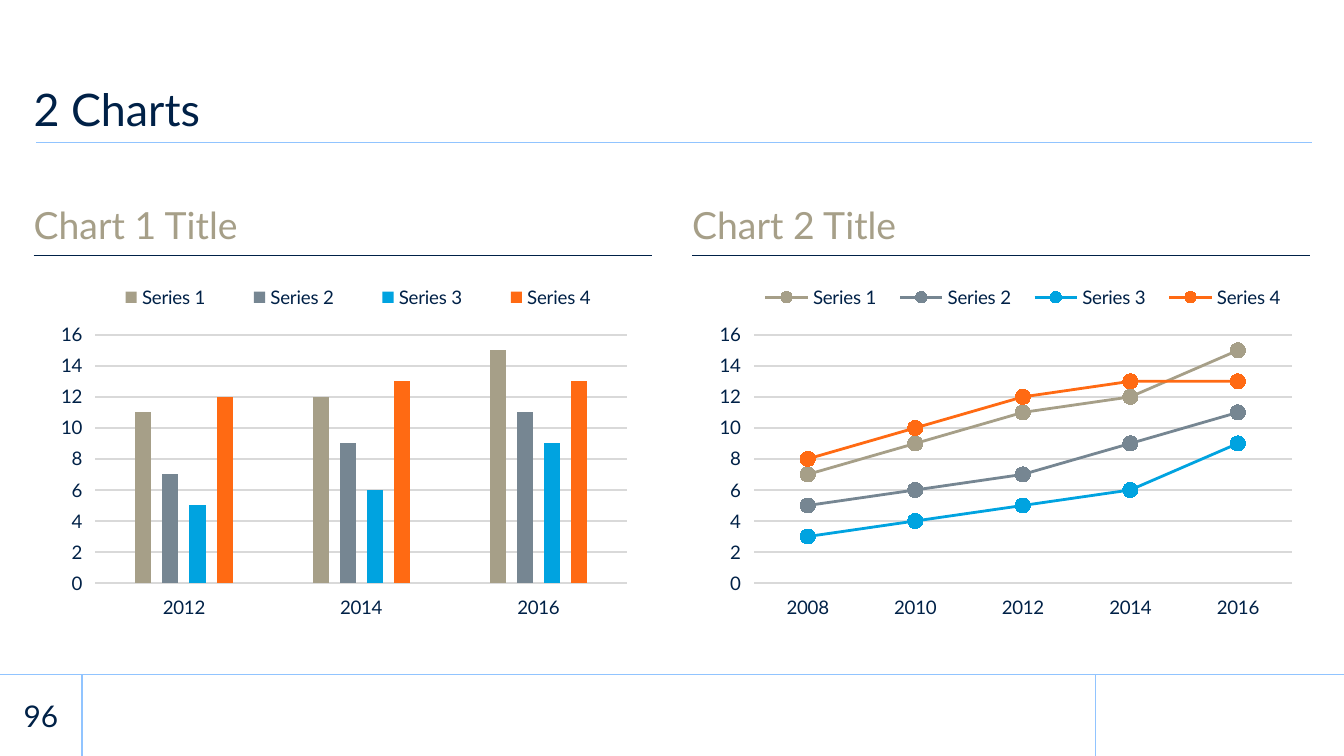
"""Build a slide with a column chart and a line chart side by side."""
from lxml import etree
from pptx import Presentation
from pptx.chart.data import CategoryChartData
from pptx.dml.color import RGBColor
from pptx.enum import chart as c, shapes, text
from pptx.oxml import parse_xml
from pptx.oxml.ns import nsdecls, qn
from pptx.util import Inches, Pt

NAVY = RGBColor(0x00, 0x21, 0x47)
SKY = RGBColor(0x91, 0xC4, 0xFF)
STONE = RGBColor(0xA6, 0x9F, 0x88)
SLATE = RGBColor(0x76, 0x86, 0x92)
CYAN = RGBColor(0x00, 0xA3, 0xE0)
ORANGE = RGBColor(0xFF, 0x6A, 0x13)
GRID = RGBColor(0xD9, 0xD9, 0xD9)
WHITE = RGBColor(0xFF, 0xFF, 0xFF)
SERIES_COLORS = [STONE, SLATE, CYAN, ORANGE]

WIDTH = 10
HEIGHT = WIDTH * 9 / 16
FOOTER_TOP = 5.02
COLUMN_WIDTH = 4.6


def write_text(shape, box, words, size, color, anchor, alignment, bottom=0):
    shape.left, shape.top, shape.width, shape.height = map(Inches, box)
    frame = shape.text_frame
    frame.text = words
    frame.auto_size = text.MSO_AUTO_SIZE.NONE
    frame.word_wrap = True
    frame.vertical_anchor = anchor
    frame.margin_left = frame.margin_right = frame.margin_top = 0
    frame.margin_bottom = Inches(bottom)
    paragraph = frame.paragraphs[0]
    paragraph.alignment = alignment
    paragraph.space_before = Pt(0)
    font = paragraph.runs[0].font
    font.name, font.size, font.bold = "Lato", Pt(size), False
    font.color.rgb = color


def set_layout(parent, position, target, box):
    for layout in parent.findall(qn("c:layout")):
        parent.remove(layout)
    edges = "".join(f'<c:{side}Mode val="edge"/>' for side in "xy")
    sizes = "".join(f'<c:{key} val="{value}"/>' for key, value in zip("xywh", box))
    parent.insert(position, parse_xml(
        f'<c:layout {nsdecls("c")}><c:manualLayout>'
        f'{target}{edges}{sizes}</c:manualLayout></c:layout>'))


presentation = Presentation()
presentation.slide_width = Inches(WIDTH)
presentation.slide_height = Inches(HEIGHT)
slide = presentation.slides.add_slide(presentation.slide_layouts[4])
placeholders = {p.placeholder_format.idx: p for p in slide.placeholders}
for index in (2, 4):
    element = placeholders[index].element
    element.getparent().remove(element)

for left, opacity in [(0, 85), (8.15, 100)]:
    band = slide.shapes.add_shape(
        shapes.MSO_SHAPE.RECTANGLE, Inches(left), Inches(FOOTER_TOP),
        Inches(WIDTH - left), Inches(HEIGHT - FOOTER_TOP))
    band.shadow.inherit = False
    band.fill.solid()
    band.fill.fore_color.rgb = WHITE
    band.line.fill.background()
    color = band.element.spPr.find(qn("a:solidFill"))[0]
    etree.SubElement(color, qn("a:alpha"), val=str(opacity * 1000))

rules = [
    (WIDTH, FOOTER_TOP, 0, FOOTER_TOP, SKY),
    (8.15, HEIGHT, 8.15, FOOTER_TOP, SKY),
    (0.61, HEIGHT, 0.61, FOOTER_TOP, SKY),
    (9.76, 1.06, 0.27, 1.06, SKY),
    (0.25, 1.9, 4.85, 1.9, NAVY),
    (5.15, 1.9, 9.75, 1.9, NAVY),
]
for *ends, color in rules:
    rule = slide.shapes.add_connector(
        shapes.MSO_CONNECTOR.STRAIGHT, *map(Inches, ends))
    rule.line.color.rgb = color
    rule.line.width = Pt(0.75)
    etree.SubElement(rule.element.spPr, qn("a:effectLst"))

bottom, left_aligned = text.MSO_ANCHOR.BOTTOM, text.PP_ALIGN.LEFT
write_text(slide.shapes.title, (0.25, 0.26, 9.5, 0.8), "2 Charts", 24, NAVY,
           bottom, left_aligned, bottom=0.05)
slide.shapes.title.text_frame.paragraphs[0].line_spacing = 0.9
page_number = slide.shapes.add_textbox(0, 0, 0, 0)
write_text(page_number, (0, FOOTER_TOP, 0.61, HEIGHT - FOOTER_TOP), "96", 16,
           NAVY, text.MSO_ANCHOR.MIDDLE, text.PP_ALIGN.CENTER)
page_number.text_frame.word_wrap = False

panels = [
    (0.25, 1, "Chart 1 Title", c.XL_CHART_TYPE.COLUMN_CLUSTERED,
     ["2012", "2014", "2016"],
     [(11, 12, 15), (7, 9, 11), (5, 6, 9), (12, 13, 13)],
     (0.1, 0.19, 0.86, 0.66), (0.08, 0.04, 0.89, 0.1)),
    (5.15, 3, "Chart 2 Title", c.XL_CHART_TYPE.LINE_MARKERS,
     ["2008", "2010", "2012", "2014", "2016"],
     [(7, 9, 11, 12, 15), (5, 6, 7, 9, 11), (3, 4, 5, 6, 9),
      (8, 10, 12, 13, 13)],
     (0.1, 0.19, 0.87, 0.66), (0.09, 0.04, 0.89, 0.1)),
]
for left, index, heading, chart_type, years, values, plot_box, legend_box in panels:
    write_text(placeholders[index], (left, 1.31, COLUMN_WIDTH, 0.53), heading,
               20, STONE, bottom, left_aligned)
    placeholders[index].text_frame.paragraphs[0].line_spacing = 0.9

    data = CategoryChartData()
    data.categories = years
    for number, row in enumerate(values, 1):
        data.add_series(f"Series {number}", row)
    chart = slide.shapes.add_chart(
        chart_type, Inches(left), Inches(1.96), Inches(COLUMN_WIDTH),
        Inches(2.8), data).chart
    chart.has_title = False
    chart.has_legend = True
    chart.legend.position = c.XL_LEGEND_POSITION.TOP
    chart.legend.include_in_layout = False

    axes = (chart.category_axis, chart.value_axis)
    for axis in axes:
        axis.format.line.fill.background()
        axis.major_tick_mark = c.XL_TICK_MARK.OUTSIDE
        axis.minor_tick_mark = c.XL_TICK_MARK.NONE
    for part in (chart, chart.legend, *(axis.tick_labels for axis in axes)):
        part.font.name, part.font.size = "Lato", Pt(10)
        part.font.color.rgb = NAVY
    axis = chart.value_axis
    axis.minimum_scale, axis.maximum_scale, axis.major_unit = 0, 16, 2
    axis.has_major_gridlines = True
    axis.major_gridlines.format.line.color.rgb = GRID
    axis.major_gridlines.format.line.width = Pt(0.75)

    plot = chart.plots[0]
    plot.vary_by_categories = False
    is_column = chart_type == c.XL_CHART_TYPE.COLUMN_CLUSTERED
    if is_column:
        plot.gap_width, plot.overlap = 500, -69
    for series, color in zip(plot.series, SERIES_COLORS):
        if is_column:
            series.format.fill.solid()
            series.format.fill.fore_color.rgb = color
            continue
        series.smooth = False
        series.format.line.color.rgb = color
        series.format.line.width = Pt(1.5)
        series.marker.style = c.XL_MARKER_STYLE.CIRCLE
        series.marker.size = 8
        series.marker.format.fill.solid()
        series.marker.format.fill.fore_color.rgb = color
        series.marker.format.line.color.rgb = color

    set_layout(chart.element.find(".//" + qn("c:plotArea")), 0,
               '<c:layoutTarget val="inner"/>', plot_box)
    set_layout(chart.element.find(".//" + qn("c:legend")), 1, "", legend_box)

presentation.save("out.pptx")
